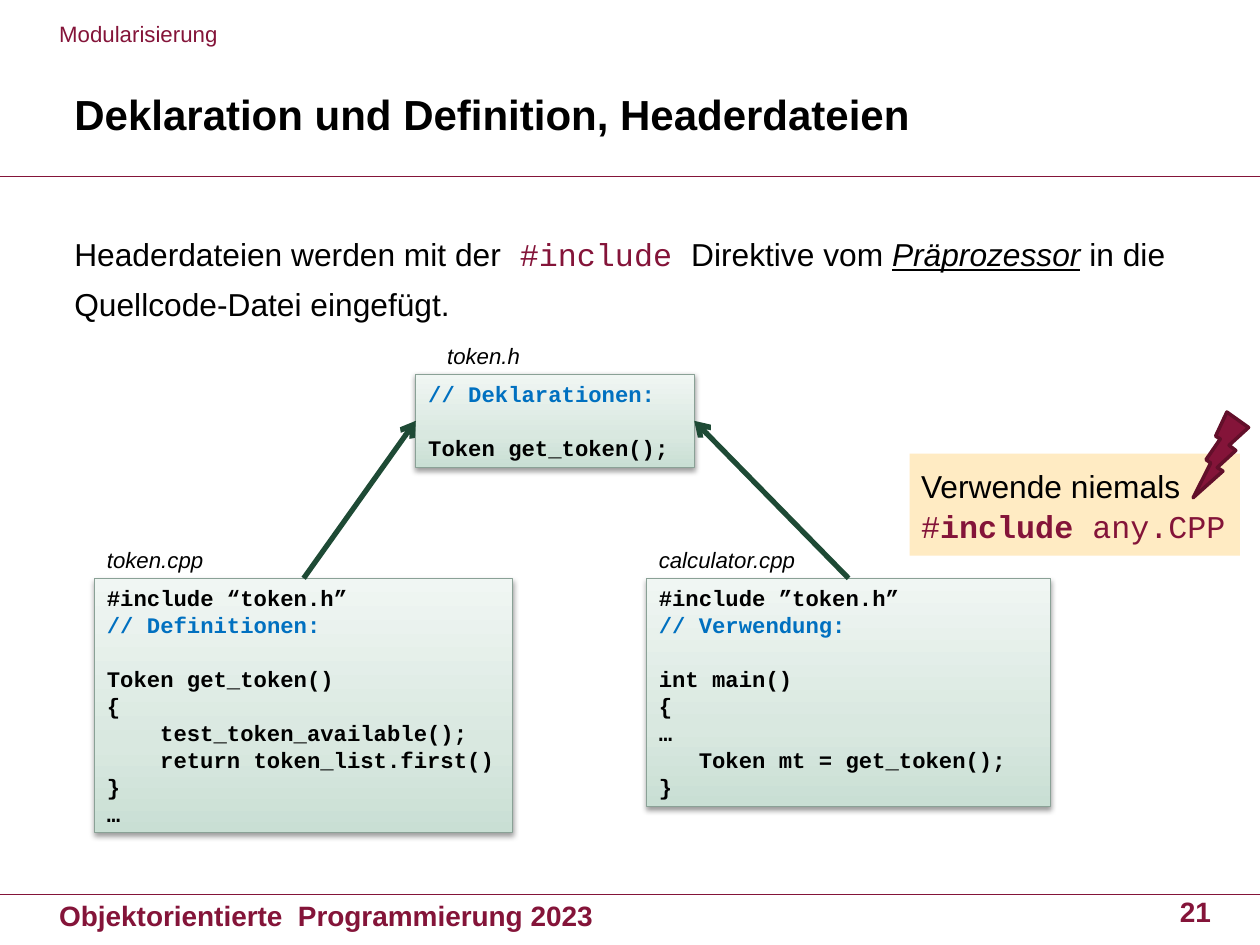
from copy import deepcopy

from pptx import Presentation
from pptx.dml.color import RGBColor
from pptx.enum.shapes import MSO_CONNECTOR as CONNECTOR, MSO_SHAPE as SHAPE
from pptx.enum.text import MSO_ANCHOR as ANCHOR, MSO_AUTO_SIZE as AUTO_SIZE, PP_ALIGN as ALIGN
from pptx.oxml import parse_xml
from pptx.oxml.ns import nsdecls, qn
from pptx.util import Inches, Pt

BLACK, WINE, COMMENT, GREEN = "000000", "841439", "0070C0", "1E4A35"
SANS, MONO = "Arial", "Courier New"
SMALL, MEDIUM, LARGE = 12.7, 16, 18.1
CODE_PITCH, CODE_CHAR = 15.36, 7.62
GRADIENT = [(0, "C9DFD4"), (0.35, "D9E8E0"), (1, "F0F6F3")]


def rgb(value):
    """Turn a hex string into a colour."""
    return RGBColor.from_string(value)


def add_run(paragraph, text, size, color=BLACK, font=SANS, bold=False, italic=False, underline=False):
    """Append one formatted run."""
    run = paragraph.add_run()
    run.text = text
    run.font.size, run.font.name = Pt(size), font
    run.font.bold, run.font.italic, run.font.underline = bold, italic, underline
    run.font.color.rgb = rgb(color)


def set_frame(shape, inset=None, anchor=ANCHOR.TOP, wrap=True):
    """Set wrapping, anchor and insets, and return the text frame."""
    frame = shape.text_frame
    frame.auto_size = AUTO_SIZE.NONE
    frame.word_wrap, frame.vertical_anchor = wrap, anchor
    if inset is not None:
        frame.margin_left = frame.margin_right = Inches(inset)
        frame.margin_top = frame.margin_bottom = Inches(inset)
    return frame


def place(shape, left, top, width, height):
    """Move and size a shape."""
    shape.left, shape.top = Inches(left), Inches(top)
    shape.width, shape.height = Inches(width), Inches(height)


def add_text(slide, box, text, size, color=BLACK, inset=None, anchor=ANCHOR.MIDDLE,
             wrap=True, align=ALIGN.LEFT, **style):
    """Add a text box holding one line."""
    frame = set_frame(slide.shapes.add_textbox(*map(Inches, box)), inset, anchor, wrap)
    frame.paragraphs[0].alignment = align
    add_run(frame.paragraphs[0], text, size, color, **style)


def add_title(slide, text):
    """Place and fill the title placeholder."""
    title = slide.shapes.title
    place(title, 0.5, 0.3, 9, 1.25)
    paragraph = set_frame(title, 0.09, ANCHOR.MIDDLE).paragraphs[0]
    paragraph.alignment, paragraph.line_spacing = ALIGN.LEFT, 0.9
    add_run(paragraph, text, 24, bold=True)


def add_line(slide, start, end, color, width):
    """Add a straight connector without a shadow."""
    line = slide.shapes.add_connector(CONNECTOR.STRAIGHT, *map(Inches, start + end))
    line.line.color.rgb, line.line.width = rgb(color), Pt(width)
    line._element.spPr.append(parse_xml(f"<a:effectLst {nsdecls('a')}/>"))
    return line


def add_include_arrow(slide, source, header, side):
    """Point from the top of a source file to a side of the header."""
    arrow = add_line(slide, (0, 0), (1, 1), GREEN, 3)
    arrow.begin_connect(source, 0)
    arrow.end_connect(header, side)
    arrow.line._get_or_add_ln().append(parse_xml(f'<a:tailEnd {nsdecls("a")} type="arrow"/>'))


def add_shape(slide, kind, box, fill):
    """Add a filled preset shape without outline or shadow."""
    shape = slide.shapes.add_shape(kind, *map(Inches, box))
    shape.shadow.inherit = False
    shape.fill.solid()
    shape.fill.fore_color.rgb = rgb(fill)
    shape.line.fill.background()
    return shape


def style_panel(panel):
    """Give a code panel its gradient, outline and soft shadow."""
    panel.fill.gradient()
    panel.fill.gradient_angle = 90
    stops = panel._element.spPr.find(qn("a:gradFill")).find(qn("a:gsLst"))
    stops.append(deepcopy(stops[0]))
    for stop, (position, color) in zip(panel.fill.gradient_stops, GRADIENT):
        stop.position, stop.color.rgb = position, rgb(color)
    panel.line.color.rgb, panel.line.width = rgb("8AA196"), Pt(0.75)
    panel._element.spPr.find(qn("a:effectLst")).append(parse_xml(
        f'<a:outerShdw {nsdecls("a")} blurRad="{Pt(3.1)}" dist="{Pt(1.6)}" dir="5400000" '
        'rotWithShape="0"><a:srgbClr val="000000"><a:alpha val="38000"/></a:srgbClr></a:outerShdw>'))


def add_code_file(slide, name, box, lines, label_indent=0):
    """Add a code panel with its file name above; lines are (text, indent, gap)."""
    left, top, width, _ = box
    panel = add_shape(slide, SHAPE.RECTANGLE, box, GRADIENT[0][1])
    style_panel(panel)
    frame = set_frame(panel)
    for number, (text, indent, gap) in enumerate(lines):
        paragraph = frame.add_paragraph() if number else frame.paragraphs[0]
        paragraph.alignment, paragraph.line_spacing = ALIGN.LEFT, Pt(CODE_PITCH)
        paragraph.space_before = Pt(CODE_PITCH * gap)
        if indent:
            paragraph._p.get_or_add_pPr().set("marL", str(Pt(CODE_CHAR * indent)))
        add_run(paragraph, text, SMALL, COMMENT if text.startswith("//") else BLACK, MONO, bold=True)
    add_text(slide, (left + label_indent, top - 0.3, width / 2, 0.31), name, SMALL,
             anchor=ANCHOR.TOP, wrap=False, italic=True)
    return panel


def add_explanation(slide):
    """Add the sentence on the include directive."""
    box = slide.shapes.add_textbox(Inches(0.5), Inches(1.76), Inches(9), Inches(4.35))
    frame = set_frame(box, 0.09)
    first, second = frame.paragraphs[0], frame.add_paragraph()
    for paragraph in (first, second):
        paragraph.space_before, paragraph.line_spacing = Pt(5.4), 1.05
    add_run(first, "Headerdateien werden mit der", LARGE)
    add_run(first, " #include ", LARGE, WINE, MONO)
    add_run(first, "Direktive vom ", LARGE)
    add_run(first, "Präprozessor", LARGE, italic=True, underline=True)
    add_run(first, " in die", LARGE)
    add_run(second, "Quellcode-Datei eingefügt.", LARGE)


def add_warning(slide):
    """Add the warning panel and its lightning bolt."""
    panel = add_shape(slide, SHAPE.RECTANGLE, (7.22, 3.6, 2.62, 0.81), "FFEBC3")
    warning = set_frame(panel, 0.09).paragraphs[0]
    warning.alignment, warning.line_spacing = ALIGN.LEFT, Pt(22.9)
    add_run(warning, "Verwende niemals ", LARGE)
    add_run(warning, "#", LARGE, WINE, MONO)
    add_run(warning, "include ", LARGE, WINE, MONO, bold=True)
    add_run(warning, "any.CPP", LARGE, WINE, MONO)
    bolt = add_shape(slide, SHAPE.LIGHTNING_BOLT, (9.47, 3.27, 0.44, 0.68), WINE)
    bolt.line.color.rgb, bolt.line.width = rgb("620F2A"), Pt(2)
    bolt._element.spPr.xfrm.set("flipH", "1")


def main():
    """Build the slide on header files."""
    deck = Presentation()
    deck.slide_width, deck.slide_height = Inches(10), Inches(7.5)
    slide = deck.slides.add_slide(deck.slide_layouts[5])
    for rule_top in (7.1, 1.4):
        add_line(slide, (0, rule_top), (10, rule_top), WINE, 0.75)
    add_title(slide, "Deklaration und Definition, Headerdateien")
    add_explanation(slide)
    add_text(slide, (0.47, 0.13, 9.1, 0.27), "Modularisierung", SMALL, WINE, inset=0)
    add_text(slide, (0.38, 7.19, 7.52, 0.15), "Objektorientierte  Programmierung 2023",
             MEDIUM, WINE, inset=0.09, bold=True)
    definition = add_code_file(slide, "token.cpp", (0.75, 4.59, 3.32, 2.02), [
        ("#include “token.h”", 0, 0), ("// Definitionen:", 0, 0),
        ("Token get_token()", 0, 1), ("{", 0, 0),
        ("test_token_available();", 4, 0), ("return token_list.first()", 4, 0),
        ("}", 0, 0), ("…", 0, 0)])
    usage = add_code_file(slide, "calculator.cpp", (5.13, 4.59, 3.21, 1.81), [
        ("#include ”token.h”", 0, 0), ("// Verwendung:", 0, 0),
        ("int main()", 0, 1), ("{", 0, 0), ("…", 0, 0),
        ("Token mt = get_token();", 3, 0), ("}", 0, 0)])
    header = add_code_file(slide, "token.h", (3.3, 2.97, 2.21, 0.74), [
        ("// Deklarationen:", 0, 0), ("Token get_token();", 0, 1)], label_indent=0.15)
    add_include_arrow(slide, usage, header, 3)
    add_include_arrow(slide, definition, header, 1)
    add_warning(slide)
    add_text(slide, (9.14, 7.12, 0.47, 0.22), "21", MEDIUM, WINE, inset=0,
             align=ALIGN.RIGHT, bold=True)
    deck.save("out.pptx")


if __name__ == "__main__":
    main()
